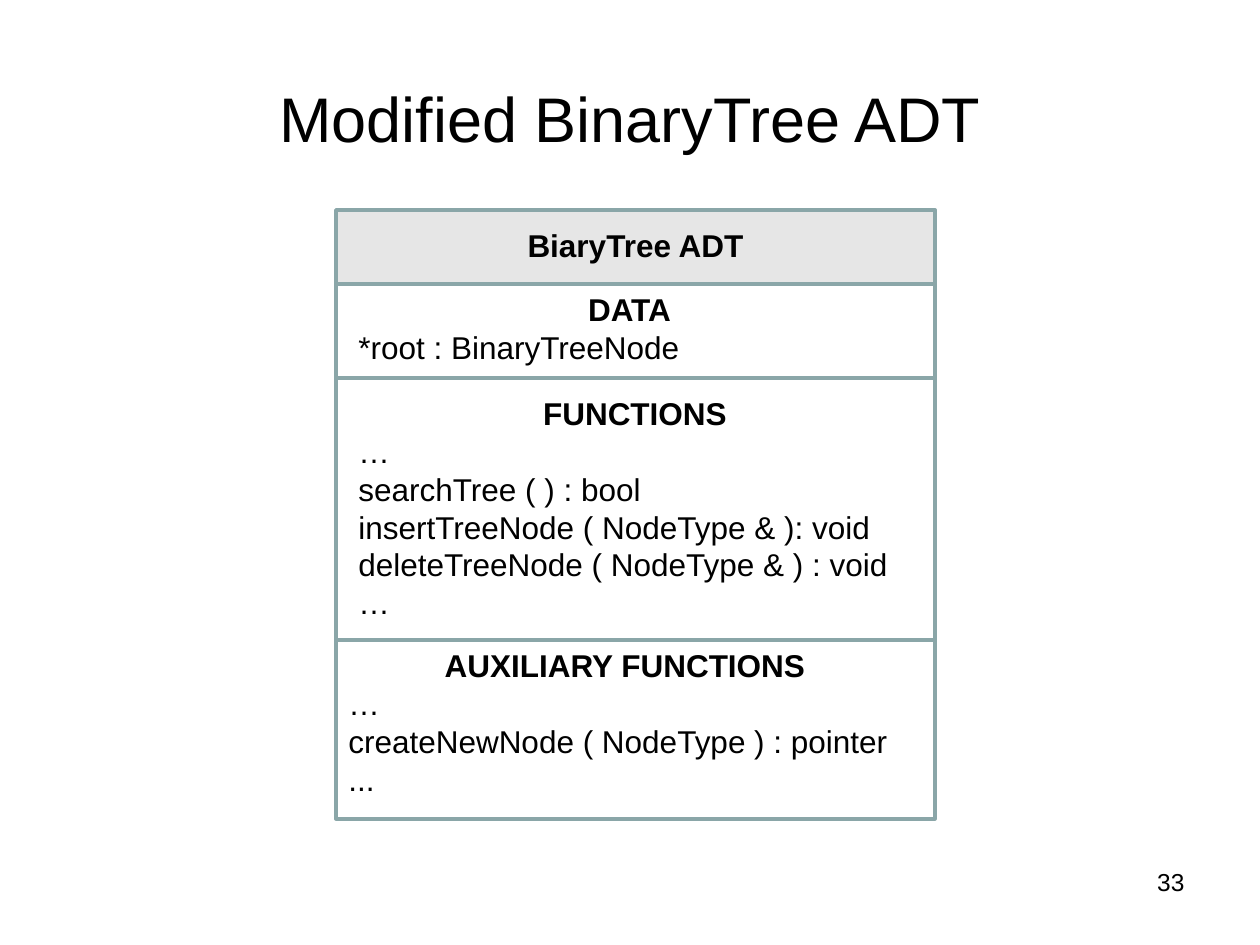
"""Build the Modified BinaryTree ADT slide."""
from pptx import Presentation
from pptx.dml.color import RGBColor
from pptx.enum.shapes import MSO_SHAPE
from pptx.enum.text import MSO_ANCHOR, PP_ALIGN
from pptx.util import Emu, Pt

PX = 914400 // 126
FONT, INK, EDGE = "Arial", "000000", "8AA6A8"
BOX_LEFT, BOX_TOP, BOX_WIDTH = 336, 210, 599

TITLE = ("Modified BinaryTree ADT", (63, 38, 1134, 158))
NUMBER = ("33", (1081, 861, 116, 65))
SECTIONS = [
    {"height": 74, "fill": "E6E6E6", "text_at": (0, 10, 599, 53),
     "head": "BiaryTree ADT", "lines": []},
    {"height": 94, "fill": None, "text_at": (10, 0, 567, 89),
     "head": "DATA", "lines": ["*root : BinaryTreeNode"]},
    {"height": 262, "fill": None, "text_at": (10, 10, 578, 242),
     "head": "FUNCTIONS",
     "lines": ["…", "searchTree ( ) : bool", "insertTreeNode ( NodeType & ): void",
               "deleteTreeNode ( NodeType & ) : void", "…"]},
    {"height": 179, "fill": None, "text_at": (0, 0, 578, 165),
     "head": "AUXILIARY FUNCTIONS",
     "lines": ["…", "createNewNode ( NodeType ) : pointer", "..."]},
]


def rgb(value):
    return RGBColor.from_string(value)


def emu(box):
    return [Emu(v * PX) for v in box]


def add_text(s, box, paragraphs, size, anchor=MSO_ANCHOR.TOP):
    tf = s.shapes.add_textbox(*emu(box)).text_frame
    tf.word_wrap = True
    tf.vertical_anchor = anchor
    for i, (text, align, bold) in enumerate(paragraphs):
        p = tf.paragraphs[0] if i == 0 else tf.add_paragraph()
        p.alignment = align
        r = p.add_run()
        r.text = text
        for name, value in {"name": FONT, "size": Pt(size), "bold": bold}.items():
            setattr(r.font, name, value)
        r.font.color.rgb = rgb(INK)


def add_box(s, box, fill):
    sp = s.shapes.add_shape(MSO_SHAPE.RECTANGLE, *emu(box))
    sp.shadow.inherit = False
    if fill:
        sp.fill.solid()
        sp.fill.fore_color.rgb = rgb(fill)
    else:
        sp.fill.background()
    sp.line.color.rgb = rgb(EDGE)
    sp.line.width = Pt(2)


prs = Presentation()
prs.slide_width, prs.slide_height = emu((1260, 945))
s = prs.slides.add_slide(prs.slide_layouts[6])

text, box = TITLE
add_text(s, box, [(text, PP_ALIGN.CENTER, False)], 36, MSO_ANCHOR.MIDDLE)
text, box = NUMBER
add_text(s, box, [(text, PP_ALIGN.RIGHT, False)], 14)

top = BOX_TOP
for section in SECTIONS:
    add_box(s, (BOX_LEFT, top, BOX_WIDTH, section["height"]), section["fill"])
    dx, dy, width, height = section["text_at"]
    paragraphs = [(section["head"], PP_ALIGN.CENTER, True)]
    paragraphs += [(line, PP_ALIGN.LEFT, False) for line in section["lines"]]
    add_text(s, (BOX_LEFT + dx, top + dy, width, height), paragraphs, 18)
    top += section["height"]

prs.save("out.pptx")
